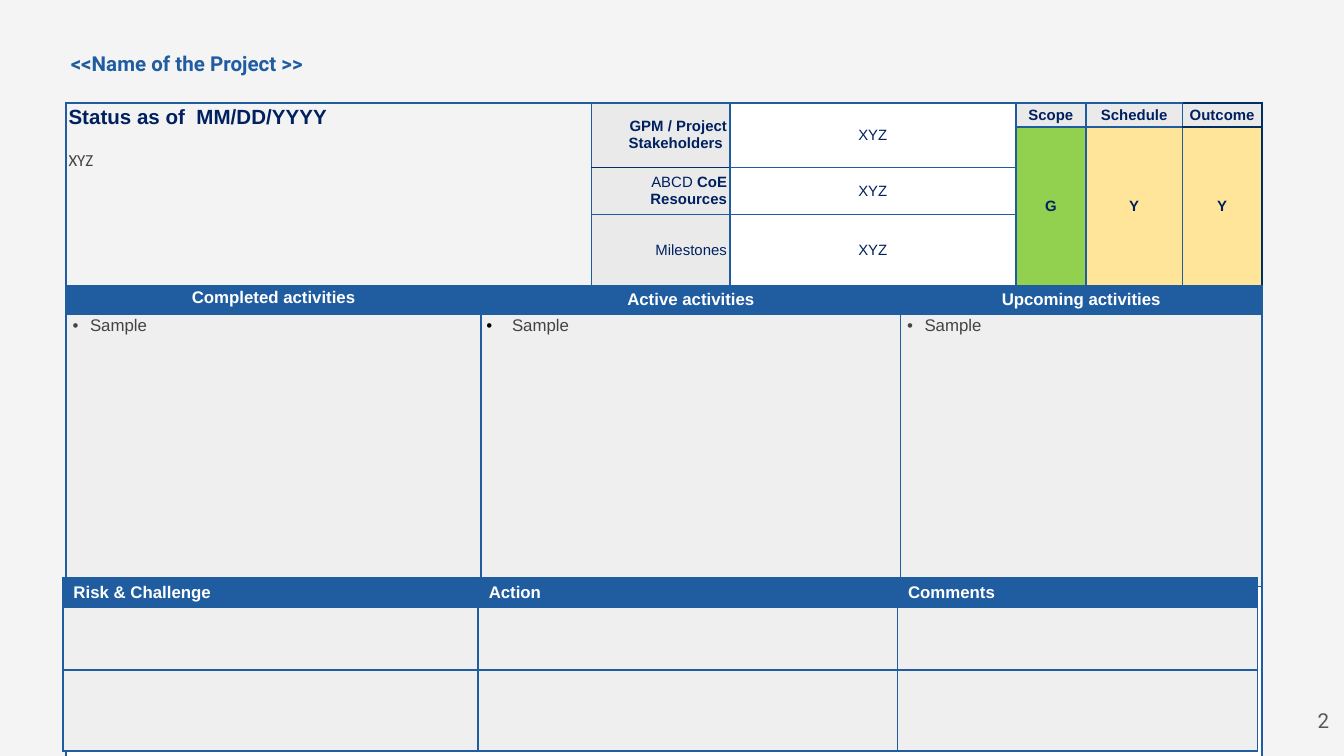
from dataclasses import dataclass

from lxml.etree import SubElement
from pptx import Presentation
from pptx.dml.color import RGBColor
from pptx.enum.text import MSO_ANCHOR, PP_ALIGN
from pptx.oxml.ns import qn
from pptx.util import Inches, Pt

WIDTH = 10
HEIGHT = WIDTH * 9 / 16
LEFT, CENTER, RIGHT = PP_ALIGN.LEFT, PP_ALIGN.CENTER, PP_ALIGN.RIGHT
TOP, MIDDLE = MSO_ANCHOR.TOP, MSO_ANCHOR.MIDDLE


@dataclass(frozen=True)
class Theme:
    page: str = "F4F4F4"
    blue: str = "205CA0"
    navy: str = "002060"
    edge: str = "032E61"
    text: str = "434343"
    number: str = "59575C"
    white: str = "FFFFFF"
    black: str = "000000"
    status: str = "F3F3F3"
    label: str = "EAEAEA"
    panel: str = "EFEFEF"
    green: str = "92D050"
    yellow: str = "FFE599"
    heading: int = 11
    body: int = 9
    small: int = 8
    sans: str = "Arial"
    plain: str = "Calibri"
    display: str = "Roboto"


T = Theme()


def area(left, top, width, height):
    """Turn percentages of the slide's size into lengths."""
    return (Inches(left * WIDTH / 100), Inches(top * HEIGHT / 100),
            Inches(width * WIDTH / 100), Inches(height * HEIGHT / 100))


def write(p, text, size=T.small, font=T.sans, color=T.navy, bold=False, align=LEFT):
    p.alignment = align
    r = p.add_run()
    r.text = text
    r.font.size, r.font.name, r.font.bold = Pt(size), font, bold
    r.font.color.rgb = RGBColor.from_string(color)


def set_margins(obj, *margins):
    """Set left, top, right and bottom margins of a cell or text frame."""
    for side, value in zip(("left", "top", "right", "bottom"), margins):
        setattr(obj, f"margin_{side}", Inches(value))


def add_bullet(p, color, left, hanging):
    pPr = p._p.get_or_add_pPr()
    pPr.set("marL", str(Inches(left)))
    pPr.set("indent", str(-Inches(hanging)))
    SubElement(SubElement(pPr, qn("a:buClr")), qn("a:srgbClr"), val=color)
    SubElement(pPr, qn("a:buFont"), typeface=T.sans)
    SubElement(pPr, qn("a:buChar"), char="•")


def set_borders(cell, dark=""):
    """Draw all four borders; the sides named in dark (L, R, T, B) use the edge colour."""
    tcPr = cell._tc.get_or_add_tcPr()
    for side in "LRTB":
        ln = SubElement(tcPr, qn(f"a:ln{side}"), w=str(Pt(1)))
        fill = SubElement(ln, qn("a:solidFill"))
        SubElement(fill, qn("a:srgbClr"), val=T.edge if side in dark else T.blue)


def add_table(slide, box, cols, rows):
    table = slide.shapes.add_table(len(rows), len(cols), *box).table
    table.first_row = table.horz_banding = False
    for column, width in zip(table.columns, cols):
        column.width = Inches(width)
    for row, height in zip(table.rows, rows):
        row.height = Inches(height)
    return table


def add_cell(table, row, col, fill, text="", span=(1, 1), dark="", anchor=MIDDLE,
             margins=(0.02,) * 4, **fmt):
    """Fill, border and merge a block of cells, write its text and return its paragraph."""
    for i in range(row, row + span[0]):
        for j in range(col, col + span[1]):
            part = table.cell(i, j)
            set_borders(part, dark)
            part.fill.solid()
            part.fill.fore_color.rgb = RGBColor.from_string(fill)
            set_margins(part, *margins)
            if (i, j) != (row, col) or not text:
                SubElement(part.text_frame.paragraphs[0]._p, qn("a:endParaRPr"),
                           sz=str(T.small * 100))
    cell = table.cell(row, col)
    if span != (1, 1):
        cell.merge(table.cell(row + span[0] - 1, col + span[1] - 1))
    cell.vertical_anchor = anchor
    p = cell.text_frame.paragraphs[0]
    if text:
        write(p, text, **fmt)
    return p


def add_title(slide):
    title = slide.shapes.title
    title.left, title.top, title.width, title.height = area(4.67, 0.9, 90.6, 14.4)
    tf = title.text_frame
    tf.vertical_anchor = MIDDLE
    set_margins(tf, *(0.06,) * 4)
    p = tf.paragraphs[0]
    p.line_spacing = 1.14
    write(p, "<<Name of the Project >>", T.heading, T.display, T.blue, True)


def add_status_table(slide):
    table = add_table(slide, area(4.9, 13.6, 89, 85),
                      (3.09, 0.82, 1.03, 1.27, 0.86, 0.52, 0.72, 0.59),
                      (0.18, 0.3, 0.35, 0.53, 0.21, 2.03, 1.29))
    add_cell(table, 0, 0, T.status, "Status as of  MM/DD/YYYY", (4, 2), anchor=TOP,
             size=T.heading, bold=True)
    p = table.cell(0, 0).text_frame.add_paragraph()
    p.space_before = Pt(12)
    write(p, "XYZ", T.body, T.plain, T.text)

    add_cell(table, 0, 2, T.label, "GPM / Project Stakeholders ", (2, 1),
             bold=True, align=RIGHT)
    p = add_cell(table, 2, 2, T.label, "ABCD ", dark="T", align=RIGHT)
    write(p, "CoE Resources", bold=True, align=RIGHT)
    add_cell(table, 3, 2, T.label, "Milestones", align=RIGHT)
    for row, height in ((0, 2), (2, 1), (3, 1)):
        add_cell(table, row, 3, T.white, "XYZ", (height, 2), align=CENTER)

    ratings = (("Scope", "G", T.green, "", ""),
               ("Schedule", "Y", T.yellow, "", ""),
               ("Outcome", "Y", T.yellow, "TRB", "TR"))
    for col, (name, grade, color, name_dark, grade_dark) in enumerate(ratings, 5):
        add_cell(table, 0, col, T.label, name, dark=name_dark,
                 margins=(0, 0.02, 0, 0.02), bold=True, align=CENTER)
        add_cell(table, 1, col, color, grade, (3, 1), dark=grade_dark,
                 bold=True, align=CENTER)

    activities = (("Completed", 0, 1, TOP, T.text, 0.14, 0.13),
                  ("Active", 1, 3, MIDDLE, T.black, 0.19, 0.19),
                  ("Upcoming", 4, 4, MIDDLE, T.text, 0.14, 0.13))
    for name, col, width, anchor, bullet, left, hanging in activities:
        add_cell(table, 4, col, T.blue, f"{name} activities", (1, width), anchor=anchor,
                 size=T.body, color=T.white, bold=True, align=CENTER)
        p = add_cell(table, 5, col, T.panel, "Sample", (1, width), anchor=TOP,
                     margins=(0.04, 0.02, 0.02, 0.02), size=T.body, color=T.text)
        add_bullet(p, bullet, left, hanging)
    add_cell(table, 6, 0, T.white, span=(1, 8))


def add_risk_table(slide):
    table = add_table(slide, area(4.67, 76.4, 89, 23),
                      (3.09, 3.12, 2.68), (0.22, 0.47, 0.6))
    for col, name in enumerate(("Risk & Challenge", "Action", "Comments")):
        add_cell(table, 0, col, T.blue, name, anchor=TOP, margins=(0.08, 0.04, 0.08, 0.04),
                 size=T.body, color=T.white, bold=True)
        for row in (1, 2):
            add_cell(table, row, col, T.panel)


def add_page_number(slide):
    tf = slide.shapes.add_textbox(*area(93.6, 92.4, 6, 7.6)).text_frame
    tf.word_wrap = True
    set_margins(tf, *(0.07,) * 4)
    write(tf.paragraphs[0], "2", T.heading, T.display, T.number, align=RIGHT)


def main():
    prs = Presentation()
    prs.slide_width, prs.slide_height = Inches(WIDTH), Inches(HEIGHT)
    slide = prs.slides.add_slide(prs.slide_layouts[5])
    slide.background.fill.solid()
    slide.background.fill.fore_color.rgb = RGBColor.from_string(T.page)
    add_title(slide)
    add_status_table(slide)
    add_risk_table(slide)
    add_page_number(slide)
    prs.save("out.pptx")


if __name__ == "__main__":
    main()
